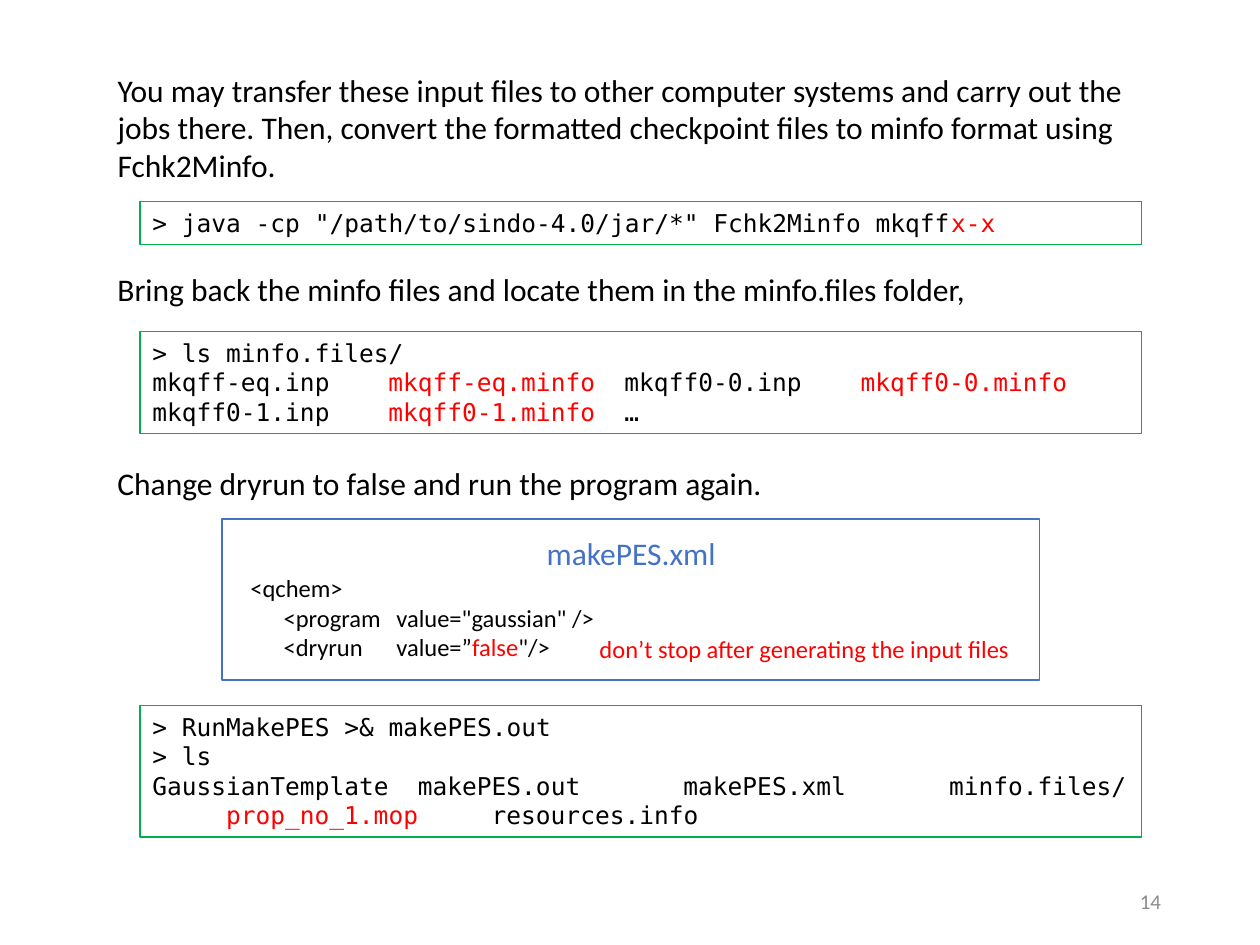
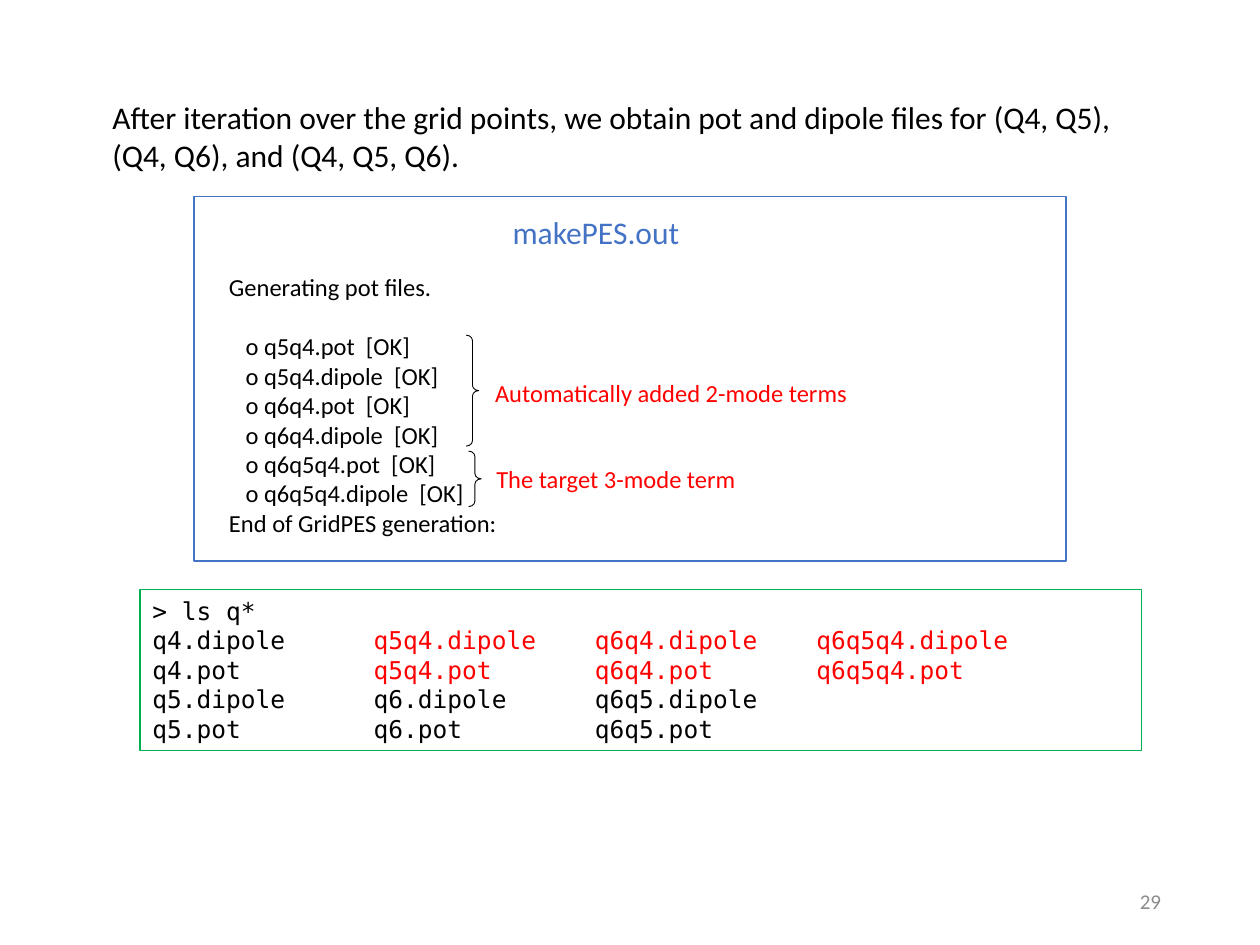
from lxml.etree import SubElement
from pptx import Presentation
from pptx.dml.color import RGBColor
from pptx.enum.shapes import MSO_SHAPE
from pptx.enum.text import MSO_ANCHOR, MSO_AUTO_SIZE, PP_ALIGN
from pptx.oxml.ns import qn
from pptx.util import Pt

BLACK, RED, BLUE, GREEN, GREY = "000000", "FF0000", "4472C4", "00B050", "8C8C8C"
SANS, MONO = "Calibri", "DejaVu Sans Mono"
BODY_SIZE, CODE_SIZE, PAGE_SIZE = 18, 14, 12
MONO_ADVANCE = 8.43
TERMINAL_LEFT, TERMINAL_WIDTH = 80, 572.4
TERMINAL_LINE, TERMINAL_PADDING = 16.9, 7.5
CODE_LINE = 17.1

# Text between | marks is red. Boxes are (left, top, width, height) in points.
# Terminal lines are (text, tab columns counted in characters).
SLIDES = [
    {
        "page": "14",
        "lead": ((60, 36.7, 592.5, 72.7),
                 "You may transfer these input files to other computer systems and carry out "
                 "the jobs there. Then, convert the formatted checkpoint files to minfo format "
                 "using Fchk2Minfo."),
        "steps": [
            ((60, 150.5, 625.7, 29),
             "Bring back the minfo files and locate them in the minfo.files folder,"),
            ((60, 261.4, 625.7, 29), "Change dryrun to false and run the program again."),
        ],
        "terminals": [
            (115.2, [('> java -cp "/path/to/sindo-4.0/jar/*" Fchk2Minfo mkqff|x-x|', ())]),
            (189.4, [
                ("> ls minfo.files/", ()),
                ("mkqff-eq.inp\t|mkqff-eq.minfo|\tmkqff0-0.inp\t|mkqff0-0.minfo|", (16, 32, 48)),
                ("mkqff0-1.inp\t|mkqff0-1.minfo|\t…", (16, 32)),
            ]),
            (403.2, [
                ("> RunMakePES >& makePES.out", ()),
                ("> ls", ()),
                ("GaussianTemplate\tmakePES.out\tmakePES.xml\tminfo.files/", (18, 36, 54)),
                ("\t|prop_no_1.mop|\tresources.info", (5, 23)),
            ]),
        ],
        "file": {
            "frame": (126.7, 296.6, 467.3, 92.2),
            "name": ((305.3, 301.7, 120, 29), "makePES.xml"),
            "content": (136, 324, 230, 58.3),
            "value_stop": 83.4,
            "blocks": [[
                "<qchem>",
                '      <program\tvalue="gaussian" />',
                '      <dryrun\tvalue=”|false|"/>',
            ]],
        },
        "braces": [],
        "remarks": [((335.5, 358.6, 260, 24.5), "don’t stop after generating the input files")],
    },
    {
        "page": "29",
        "lead": ((57, 52.6, 595.4, 51),
                 "After iteration over the grid points, we obtain pot and dipole files for "
                 "(Q4, Q5), (Q4, Q6), and (Q4, Q5, Q6)."),
        "steps": [],
        "terminals": [
            (337, [
                ("> ls q*", ()),
                ("q4.dipole\t|q5q4.dipole\tq6q4.dipole\tq6q5q4.dipole|", (15, 30, 45)),
                ("q4.pot\t|q5q4.pot\tq6q4.pot\tq6q5q4.pot|", (15, 30, 45)),
                ("q5.dipole\tq6.dipole\tq6q5.dipole", (15, 30)),
                ("q5.pot\tq6.pot\tq6q5.pot", (15, 30)),
            ]),
        ],
        "file": {
            "frame": (110.9, 112.3, 498.2, 208.1),
            "name": ((285.8, 118, 120, 29), "makePES.out"),
            "content": (123.8, 151.9, 180, 160),
            "value_stop": None,
            "blocks": [
                ["Generating pot files."],
                ["   o q5q4.pot  [OK]",
                 "   o q5q4.dipole  [OK]",
                 "   o q6q4.pot  [OK]",
                 "   o q6q4.dipole  [OK]",
                 "   o q6q5q4.pot  [OK]",
                 "   o q6q5q4.dipole  [OK]",
                 "End of GridPES generation:"],
            ],
        },
        "braces": [(266.4, 191.5, 7.2, 63.4), (267.8, 257.8, 7.2, 31.7)],
        "remarks": [
            ((275.8, 212.4, 225, 24.5), "Automatically added 2-mode terms"),
            ((276.5, 261.4, 165, 24.5), "The target 3-mode term"),
        ],
    },
]


def rgb(value):
    return RGBColor.from_string(value)


def in_points(box):
    return [Pt(length) for length in box]


def add_tab_stops(paragraph, positions):
    if not positions:
        return
    tab_list = SubElement(paragraph._p.get_or_add_pPr(), qn("a:tabLst"))
    for position in positions:
        SubElement(tab_list, qn("a:tab"), pos=str(int(Pt(position))), algn="l")


def write_paragraph(paragraph, text, size, color=BLACK, font=SANS, stops=(), align=PP_ALIGN.LEFT):
    """Fill a paragraph; every second piece between | marks turns red."""
    add_tab_stops(paragraph, stops)
    paragraph.alignment = align
    paragraph.font.name = font
    paragraph.font.size = Pt(size)
    paragraph.font.color.rgb = rgb(color)
    for index, piece in enumerate(text.split("|")):
        if piece:
            run = paragraph.add_run()
            run.text = piece
            if index % 2:
                run.font.color.rgb = rgb(RED)


def next_paragraph(frame, index):
    return frame.add_paragraph() if index else frame.paragraphs[0]


def add_text(slide, box, text, size, color=BLACK, align=PP_ALIGN.LEFT, anchor=MSO_ANCHOR.TOP):
    frame = slide.shapes.add_textbox(*in_points(box)).text_frame
    frame.word_wrap = True
    frame.vertical_anchor = anchor
    write_paragraph(frame.paragraphs[0], text, size, color, align=align)


def add_outline(slide, kind, box, color, width):
    shape = slide.shapes.add_shape(kind, *in_points(box))
    shape.shadow.inherit = False
    shape.fill.background()
    shape.line.color.rgb = rgb(color)
    shape.line.width = Pt(width)
    return shape


def add_lead(slide, box, text):
    title = slide.shapes.title
    title.left, title.top, title.width, title.height = in_points(box)
    frame = title.text_frame
    frame.word_wrap = True
    frame.auto_size = MSO_AUTO_SIZE.NONE
    frame.vertical_anchor = MSO_ANCHOR.TOP
    write_paragraph(frame.paragraphs[0], text, BODY_SIZE)


def add_terminal(slide, top, lines):
    height = TERMINAL_PADDING + TERMINAL_LINE * len(lines)
    box = (TERMINAL_LEFT, top, TERMINAL_WIDTH, height)
    frame = add_outline(slide, MSO_SHAPE.RECTANGLE, box, GREEN, 0.75).text_frame
    frame.word_wrap = True
    frame.vertical_anchor = MSO_ANCHOR.TOP
    for index, (text, columns) in enumerate(lines):
        stops = [column * MONO_ADVANCE for column in columns]
        write_paragraph(next_paragraph(frame, index), text, CODE_SIZE, font=MONO, stops=stops)


def add_file(slide, file):
    """Draw a framed file listing, its blocks one empty line apart."""
    add_outline(slide, MSO_SHAPE.RECTANGLE, file["frame"], BLUE, 1)
    add_text(slide, *file["name"], BODY_SIZE, BLUE)
    frame = slide.shapes.add_textbox(*in_points(file["content"])).text_frame
    frame.word_wrap = True
    stops = [file["value_stop"]] if file["value_stop"] else []
    count = 0
    for block in file["blocks"]:
        for position, text in enumerate(block):
            paragraph = next_paragraph(frame, count)
            write_paragraph(paragraph, text, CODE_SIZE, stops=stops)
            if count and position == 0:
                paragraph.space_before = Pt(CODE_LINE)
            count += 1


def build_slide(presentation, content):
    slide = presentation.slides.add_slide(presentation.slide_layouts.get_by_name("Title Only"))
    add_lead(slide, *content["lead"])
    for box, text in content["steps"]:
        add_text(slide, box, text, BODY_SIZE)
    for top, lines in content["terminals"]:
        add_terminal(slide, top, lines)
    add_file(slide, content["file"])
    for box in content["braces"]:
        brace = add_outline(slide, MSO_SHAPE.RIGHT_BRACE, box, BLACK, 0.5)
        brace.adjustments[0] = 0.425
        brace.adjustments[1] = 0.5
    for box, text in content["remarks"]:
        add_text(slide, box, text, CODE_SIZE, RED)
    add_text(slide, (508.5, 500.5, 162, 28.8), content["page"], PAGE_SIZE, GREY,
             PP_ALIGN.RIGHT, MSO_ANCHOR.MIDDLE)


def main():
    presentation = Presentation()
    presentation.slide_width, presentation.slide_height = Pt(720), Pt(540)
    for content in SLIDES:
        build_slide(presentation, content)
    presentation.save("out.pptx")


if __name__ == "__main__":
    main()
